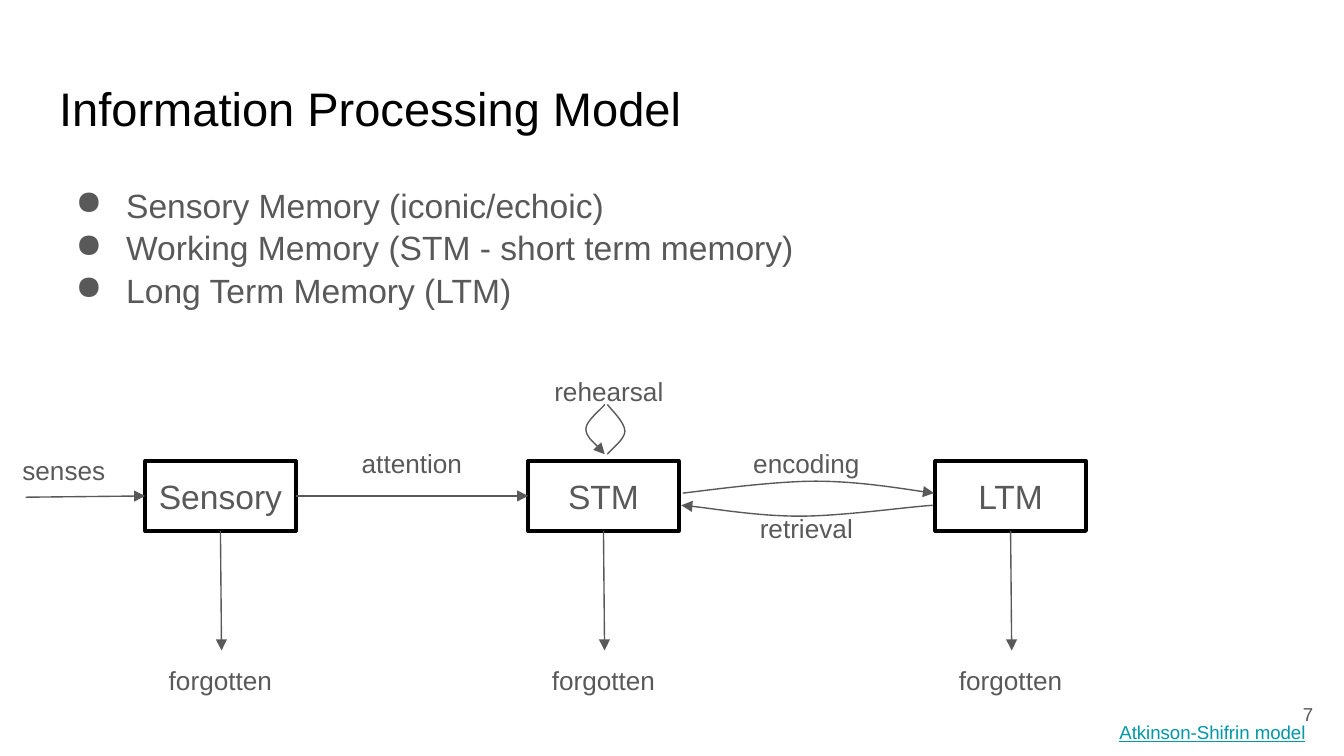
import pptx
import pptx.dml.color
import pptx.enum.shapes
import pptx.enum.text
import pptx.oxml
import pptx.oxml.ns
import pptx.util

Pt = pptx.util.Pt
qn = pptx.oxml.ns.qn
ALIGN = pptx.enum.text.PP_ALIGN
ANCHOR = pptx.enum.text.MSO_ANCHOR
GRAY, BLACK, TEAL = "595959", "000000", "0097A7"


def color(value):
    return pptx.dml.color.RGBColor.from_string(value)


def add_element(parent, tag, **attributes):
    element = pptx.oxml.parse_xml(f"<{tag} {pptx.oxml.ns.nsdecls('a')}/>")
    for name, value in attributes.items():
        element.set(name, value)
    parent.append(element)
    return element


class Diagram:
    font_name = "Arial"
    inset = Pt(7.2)
    label_width, label_height = 98, 31.7

    def __init__(self, slide):
        self.slide = slide

    def fill_text(self, shape, lines, size, ink=GRAY, align=ALIGN.LEFT, anchor=ANCHOR.TOP):
        frame = shape.text_frame
        frame.word_wrap = True
        frame.vertical_anchor = anchor
        frame.margin_left = frame.margin_right = self.inset
        frame.margin_top = frame.margin_bottom = self.inset
        frame.text = "\n".join(lines)
        for paragraph in frame.paragraphs:
            paragraph.alignment = align
            paragraph.font.name = self.font_name
            paragraph.font.size = Pt(size)
            paragraph.font.color.rgb = color(ink)
        return frame

    def title(self, text, left, top, width, height):
        shape = self.slide.shapes.title
        shape.left, shape.top = Pt(left), Pt(top)
        shape.width, shape.height = Pt(width), Pt(height)
        self.fill_text(shape, [text], 25.2, BLACK)

    def text(self, lines, left, top, width, height, size, **style):
        shape = self.slide.shapes.add_textbox(Pt(left), Pt(top), Pt(width), Pt(height))
        return self.fill_text(shape, lines, size, **style)

    def bullets(self, lines, left, top, width, height):
        frame = self.text(lines, left, top, width, height, 18)
        for paragraph in frame.paragraphs:
            paragraph.line_spacing = 1.05
            properties = paragraph._p.get_or_add_pPr()
            properties.set("marL", str(Pt(36)))
            properties.set("indent", str(-Pt(27)))
            bullet = add_element(properties, "a:buChar", char="●")
            # Bullets come before the default run properties
            properties.find(qn("a:defRPr")).addprevious(bullet)

    def label(self, text, center, top):
        self.text([text], center - self.label_width / 2, top,
                  self.label_width, self.label_height, 14, align=ALIGN.CENTER)

    def box(self, text, left, top, width, height):
        shape = self.slide.shapes.add_shape(
            pptx.enum.shapes.MSO_SHAPE.RECTANGLE,
            Pt(left), Pt(top), Pt(width), Pt(height))
        shape.shadow.inherit = False
        shape.fill.background()
        shape.line.color.rgb = color(BLACK)
        shape.line.width = Pt(2.25)
        frame = self.fill_text(shape, [text], 18, align=ALIGN.CENTER, anchor=ANCHOR.MIDDLE)
        frame.word_wrap = False
        return shape

    def stroke(self, line, arrow=True):
        line.color.rgb = color(GRAY)
        line.width = Pt(0.75)
        if arrow:
            add_element(line._get_or_add_ln(), "a:tailEnd", type="triangle")

    def arrow(self, start=(0, 0), end=(0, 0), from_site=None, to_site=None):
        """Draw an arrow; a site is a shape and its connection index."""
        connector = self.slide.shapes.add_connector(
            pptx.enum.shapes.MSO_CONNECTOR.STRAIGHT, *map(Pt, (*start, *end)))
        if from_site:
            connector.begin_connect(*from_site)
        if to_site:
            connector.end_connect(*to_site)
        self.stroke(connector.line)
        add_element(connector._element.spPr, "a:effectLst")

    def curve(self, points, arrow=True):
        """Draw a start point followed by Bezier segments of three points."""
        start, *rest = [(Pt(x), Pt(y)) for x, y in points]
        builder = self.slide.shapes.build_freeform(*start)
        builder.add_line_segments(rest, close=False)
        shape = builder.convert_to_shape()
        segments = list(shape._element.iter(qn("a:lnTo")))
        outline = segments[0].getparent()
        for first in range(0, len(segments), 3):
            bezier = add_element(outline, "a:cubicBezTo")
            for segment in segments[first:first + 3]:
                bezier.append(segment[0])
                outline.remove(segment)
        shape.shadow.inherit = False
        shape.fill.background()
        self.stroke(shape.line, arrow)


def main():
    presentation = pptx.Presentation()
    presentation.slide_width, presentation.slide_height = Pt(720), Pt(405)
    diagram = Diagram(presentation.slides.add_slide(presentation.slide_layouts[5]))

    diagram.title("Information Processing Model", 24.5, 35.3, 671, 45.4)
    diagram.bullets(["Sensory Memory (iconic/echoic)",
                     "Working Memory (STM - short term memory)",
                     "Long Term Memory (LTM)"], 24.5, 90.7, 423.4, 82)

    top, width, height = 247, 80.6, 37.4
    stores = []
    for name, left in (("Sensory", 77.8), ("STM", 283), ("LTM", 501.1)):
        store = diagram.box(name, left, top, width, height)
        center = left + width / 2
        diagram.arrow(end=(center + 0.6, 348.5), from_site=(store, 2))
        diagram.label("forgotten", center, 348.5)
        stores.append(store)
    sensory, stm, _ = stores

    diagram.arrow(start=(13.7, 266.4), to_site=(sensory, 1))
    diagram.arrow(from_site=(sensory, 3), to_site=(stm, 1))
    for text, center, label_top in (("senses", 34.2, 236.2),
                                    ("attention", 220.7, 232.6),
                                    ("rehearsal", 326.2, 193.7),
                                    ("encoding", 432, 232.6),
                                    ("retrieval", 432, 267.1)):
        diagram.label(text, center, label_top)

    encoding = [(365.8, 264.2), (378, 262.8), (414, 257.8), (437, 257.8),
                (459.4, 257.8), (489.6, 262.8), (500.4, 264.2)]
    retrieval = [(499.7, 270.7), (487.4, 271.4), (451.4, 276.5), (428.4, 276.5),
                 (406.1, 276.5), (375.8, 271.4), (365, 270.7)]
    rehearsal_up = [(325.4, 243.4), (326.9, 241.2), (334.8, 235.4), (334.8, 231.1),
                    (334.8, 226.1), (326.9, 218.9), (325.4, 216.7)]
    rehearsal_down = [(324, 216.7), (322.6, 218.9), (313.9, 225.4), (313.9, 229.7),
                      (313.9, 234), (322.6, 241.2), (324, 243.4)]
    for points in (encoding, retrieval, rehearsal_down):
        diagram.curve(points)
    diagram.curve(rehearsal_up, arrow=False)

    source = diagram.text(["Atkinson-Shifrin model"], 592.6, 380.2, 115.2, 26.6, 10, ink=TEAL)
    source.paragraphs[0].font.underline = True
    diagram.text(["7"], 667.4, 367.2, 43.2, 31, 10, align=ALIGN.RIGHT, anchor=ANCHOR.MIDDLE)

    presentation.save("out.pptx")


if __name__ == "__main__":
    main()
